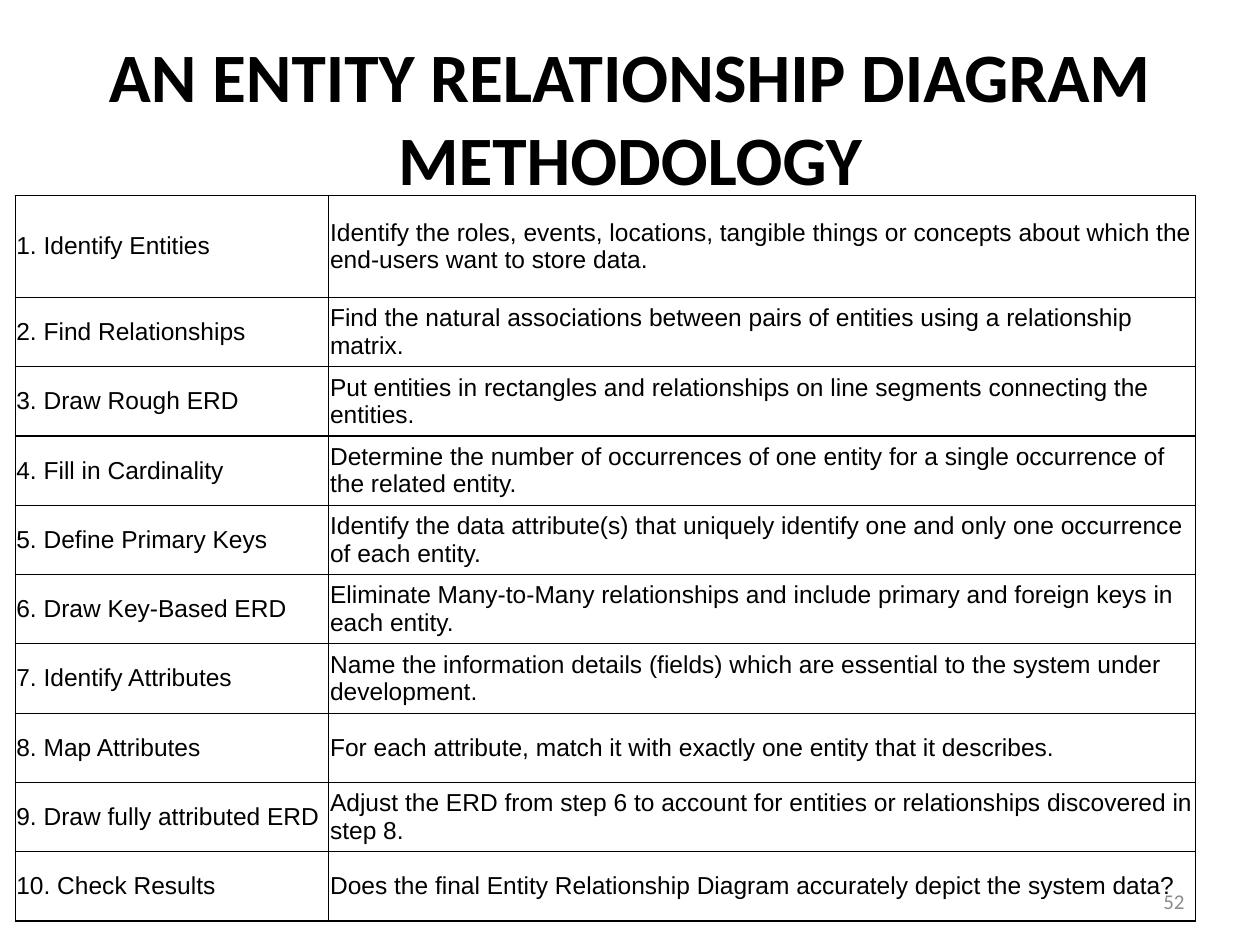
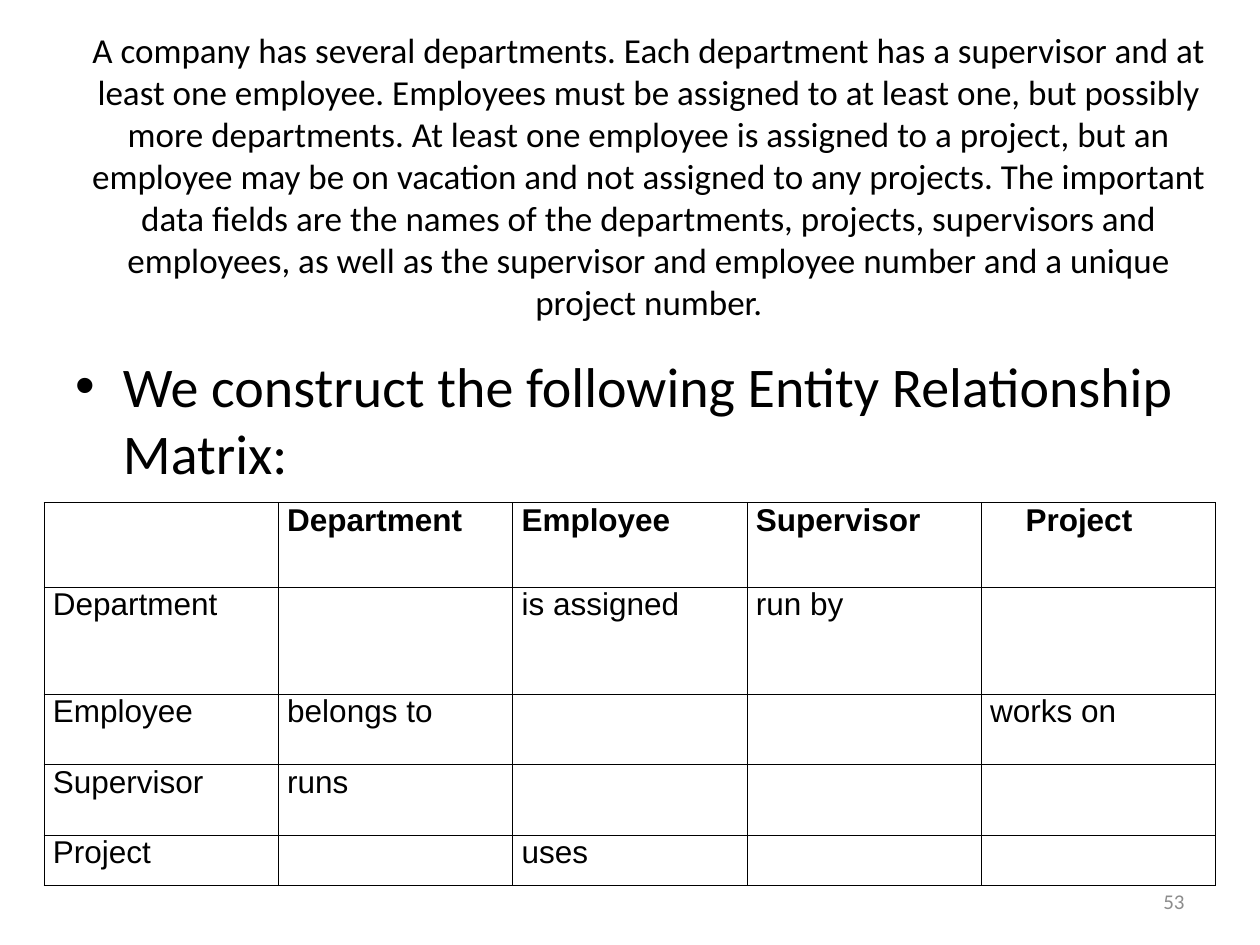
from lxml import etree
from pptx import Presentation
from pptx.dml.color import RGBColor
from pptx.enum import text
from pptx.oxml import ns
from pptx.util import Inches, Pt

COLORS = {"ink": "000000", "number": "8C8C8C"}
HEADING, BODY = "Calibri", "Arial"

# Content
METHOD_TITLE = "AN ENTITY RELATIONSHIP DIAGRAM METHODOLOGY"
STEPS = [
    ("Identify Entities", "Identify the roles, events, locations, tangible things or "
     "concepts about which the end-users want to store data."),
    ("Find Relationships", "Find the natural associations between pairs of entities "
     "using a relationship matrix."),
    ("Draw Rough ERD", "Put entities in rectangles and relationships on line segments "
     "connecting the entities."),
    ("Fill in Cardinality", "Determine the number of occurrences of one entity for a "
     "single occurrence of the related entity."),
    ("Define Primary Keys", "Identify the data attribute(s) that uniquely identify one "
     "and only one occurrence of each entity."),
    ("Draw Key-Based ERD", "Eliminate Many-to-Many relationships and include primary "
     "and foreign keys in each entity."),
    ("Identify Attributes", "Name the information details (fields) which are essential "
     "to the system under development."),
    ("Map Attributes", "For each attribute, match it with exactly one entity that it "
     "describes."),
    ("Draw fully attributed ERD", "Adjust the ERD from step 6 to account for entities "
     "or relationships discovered in step 8."),
    ("Check Results", "Does the final Entity Relationship Diagram accurately depict "
     "the system data?"),
]
CASE = (
    "A company has several departments. Each department has a supervisor and at least "
    "one employee. Employees must be assigned to at least one, but possibly more "
    "departments. At least one employee is assigned to a project, but an employee may "
    "be on vacation and not assigned to any projects. The important data fields are the "
    "names of the departments, projects, supervisors and employees, as well as the "
    "supervisor and employee number and a unique project number."
)
MATRIX_LEAD = "We construct the following Entity Relationship Matrix:"
ENTITIES = ["Department", "Employee", "Supervisor", "Project"]
RELATIONS = {
    ("Department", "Employee"): "is assigned",
    ("Department", "Supervisor"): "run by",
    ("Employee", "Department"): "belongs to",
    ("Employee", "Project"): "works on",
    ("Supervisor", "Department"): "runs",
    ("Project", "Employee"): "uses",
}


def write(tf, content, size, font, color="ink", bold=False, align=None):
    tf.text = content
    p = tf.paragraphs[0]
    p.alignment = align
    # Formatting the paragraph as well keeps empty cells at the same size
    for f in [p.font] + [r.font for r in p.runs]:
        for name, value in {"size": Pt(size), "name": font, "bold": bold}.items():
            setattr(f, name, value)
        f.color.rgb = RGBColor.from_string(COLORS[color])


def place(sp, box):
    for name, value in zip(("left", "top", "width", "height"), box):
        setattr(sp, name, Inches(value))
    tf = sp.text_frame
    tf.word_wrap = True
    tf.auto_size = text.MSO_AUTO_SIZE.NONE
    return tf


def new_slide(prs, layout, title, box, size, bold, number):
    s = prs.slides.add_slide(prs.slide_layouts[layout])
    tf = place(s.shapes.title, box)
    tf.vertical_anchor = text.MSO_ANCHOR.MIDDLE
    write(tf, title, size, HEADING, bold=bold, align=text.PP_ALIGN.CENTER)
    return s, number


def add_number(s, number):
    tf = place(s.shapes.add_textbox(0, 0, 0, 0), (7.17, 6.95, 2.33, 0.4))
    tf.vertical_anchor = text.MSO_ANCHOR.MIDDLE
    write(tf, str(number), 12, HEADING, "number", align=text.PP_ALIGN.RIGHT)


def set_borders(cell, width):
    tc_pr = cell._tc.get_or_add_tcPr()
    for side in ("lnL", "lnR", "lnT", "lnB"):
        ln = etree.SubElement(tc_pr, ns.qn("a:" + side), w=str(int(Pt(width))))
        fill = etree.SubElement(ln, ns.qn("a:solidFill"))
        etree.SubElement(fill, ns.qn("a:srgbClr"), val=COLORS["ink"])


def add_grid(s, rows, at, widths, heights, size, margins, anchor, border, header=False):
    left, top = at
    frame = s.shapes.add_table(len(rows), len(widths), Inches(left), Inches(top),
                               Inches(sum(widths)), Inches(sum(heights)))
    table = frame.table
    table.first_row = table.horz_banding = False
    for column, width in zip(table.columns, widths):
        column.width = Inches(width)
    for i, (values, height) in enumerate(zip(rows, heights)):
        table.rows[i].height = Inches(height)
        for j, value in enumerate(values):
            cell = table.cell(i, j)
            set_borders(cell, border)
            cell.fill.background()
            cell.vertical_anchor = anchor
            for side, margin in zip(("left", "top", "right", "bottom"), margins):
                setattr(cell, "margin_" + side, Inches(margin))
            write(cell.text_frame, value, size, BODY, bold=header and i == 0)
    return table


def methodology(prs):
    s, number = new_slide(prs, 5, METHOD_TITLE, (0.5, 0.3, 9, 1.25), 39.6, True, 52)
    rows = [(f"{n}. {step}", detail) for n, (step, detail) in enumerate(STEPS, 1)]
    add_grid(s, rows, (0.12, 1.55), [2.49, 6.88], [0.81] + [0.55] * 9, 14,
             [0.01] * 4, text.MSO_ANCHOR.MIDDLE, 0.75)
    add_number(s, number)


def matrix(prs):
    s, number = new_slide(prs, 1, CASE, (0.5, 0.3, 9.3, 2.19), 20, False, 53)
    write(place(s.placeholders[1], (0.5, 2.74, 9, 4.95)), MATRIX_LEAD, 32, HEADING)
    rows = [[""] + ENTITIES]
    rows += [[a] + [RELATIONS.get((a, b), "") for b in ENTITIES] for a in ENTITIES]
    table = add_grid(s, rows, (0.35, 3.99), [1.86] * 5, [0.67, 0.85, 0.56, 0.56, 0.4],
                     18, [0.07, 0, 0.07, 0], text.MSO_ANCHOR.TOP, 0.5, header=True)
    table.cell(0, 4).margin_left = Inches(0.35)  # indented last heading
    add_number(s, number)


def main():
    prs = Presentation()
    prs.slide_width, prs.slide_height = Inches(10), Inches(7.5)
    methodology(prs)
    matrix(prs)
    prs.save("out.pptx")


if __name__ == "__main__":
    main()
